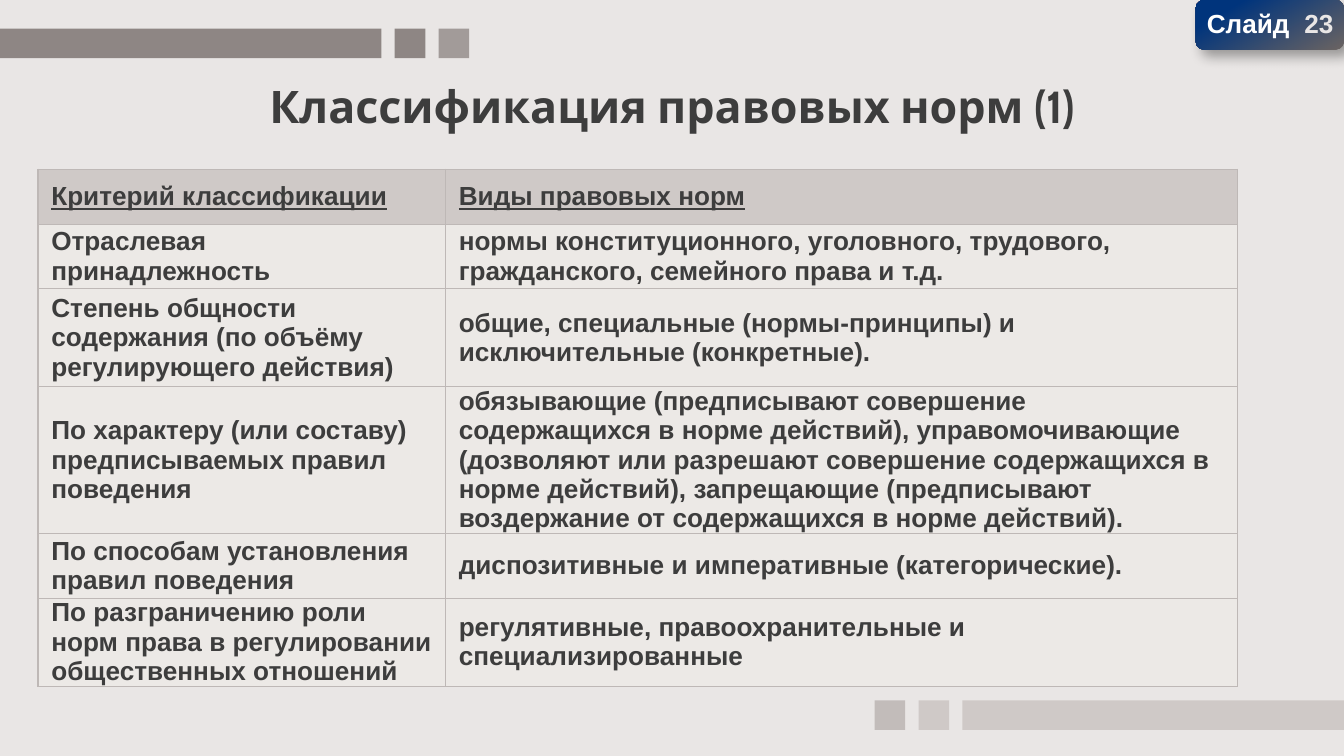
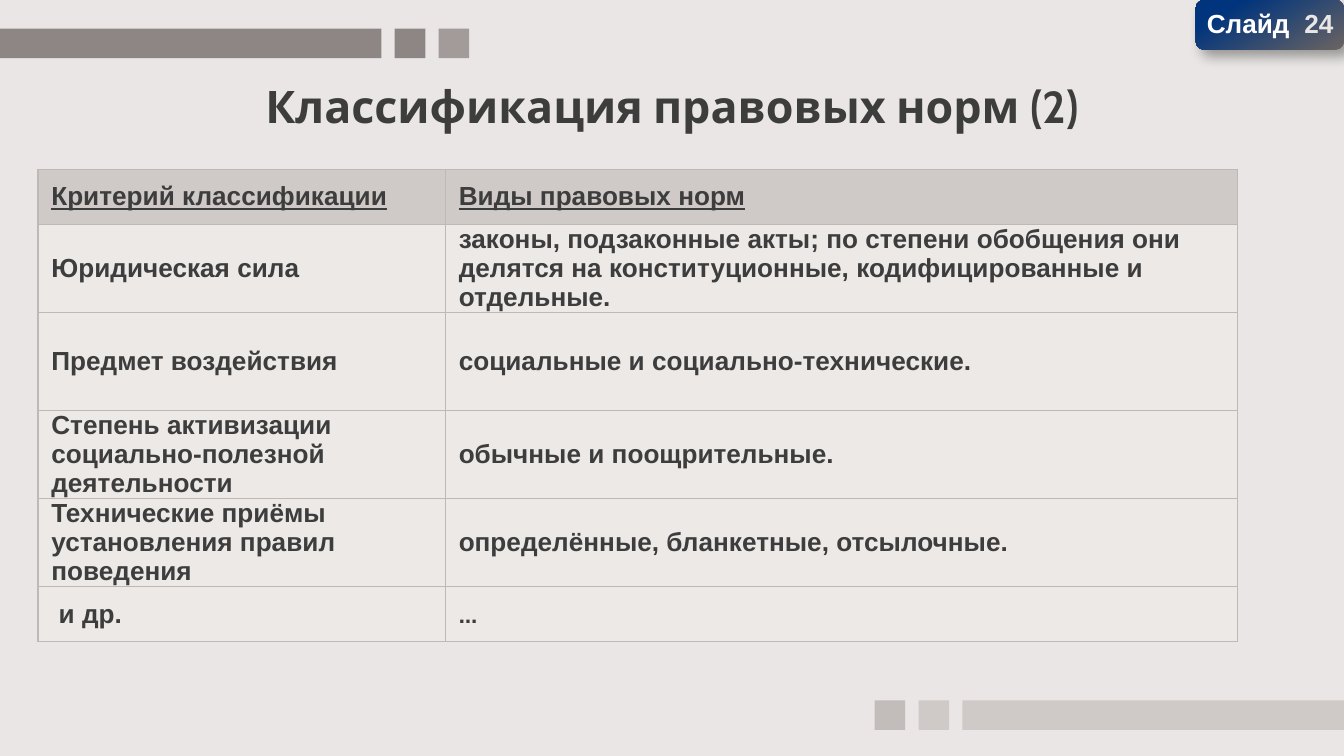
from copy import deepcopy

from lxml import etree
from pptx import Presentation
from pptx import util as u
from pptx.dml.color import RGBColor
from pptx.enum import shapes, text
from pptx.oxml import ns

COLORS = {
    "background": "E9E6E5",
    "ink": "3D3D3D",
    "dark_band": "8E8684",
    "dark_accent": "A29B99",
    "light_band": "CFC9C7",
    "light_accent": "C2BCBA",
    "border": "BEB8B6",
    "cell": "ECE9E6",
    "badge_grey": "6B6462",
    "badge_blue": "00347C",
    "badge_edge": "00347D",
    "white": "FFFFFF",
    "shadow": "000000",
}

HEADER = ("Критерий классификации", "Виды правовых норм")

NORMS_1 = [
    ("Отраслевая принадлежность",
     "нормы конституционного, уголовного, трудового, гражданского, семейного права и т.д."),
    ("Степень общности содержания (по объёму регулирующего действия)",
     "общие, специальные (нормы-принципы) и исключительные (конкретные)."),
    ("По характеру (или составу) предписываемых правил поведения",
     "обязывающие (предписывают совершение содержащихся в норме действий), "
     "управомочивающие (дозволяют или разрешают совершение содержащихся в норме действий), "
     "запрещающие (предписывают воздержание от содержащихся в норме действий)."),
    ("По способам установления правил поведения",
     "диспозитивные и императивные (категорические)."),
    ("По разграничению роли норм права в регулировании общественных отношений",
     "регулятивные, правоохранительные и специализированные"),
]

NORMS_2 = [
    ("Юридическая сила",
     "законы, подзаконные акты; по степени обобщения они делятся на конституционные, "
     "кодифицированные и отдельные."),
    ("Предмет воздействия", "социальные и социально-технические."),
    ("Степень активизации социально-полезной деятельности", "обычные и поощрительные."),
    ("Технические приёмы установления правил поведения",
     "определённые, бланкетные, отсылочные."),
    ("и др.", "…"),
]


def rgb(name):
    return RGBColor.from_string(COLORS[name])


def add_color(parent, name):
    return etree.SubElement(parent, ns.qn("a:srgbClr"), val=COLORS[name])


class Deck:
    TITLE_FONT = "Cabin"
    BODY_FONT = "Arial"
    COLUMNS = (7.7, 14.96)
    ROWS = (1.04, 1.22, 1.85, 1.04, 1.22, 1.04)

    def __init__(self):
        self.presentation = Presentation()
        self.presentation.slide_width = u.Cm(25.4)
        self.presentation.slide_height = u.Cm(14.29)
        fill = self.presentation.slide_master.background.fill
        fill.solid()
        fill.fore_color.rgb = rgb("background")
        self.slide = None

    def new_slide(self, title):
        layout = self.presentation.slide_layouts[5]
        self.slide = self.presentation.slides.add_slide(layout)
        self.bands()
        self.title(title)

    def font(self, font, size=14, name=BODY_FONT, color="ink"):
        font.size = u.Pt(size)
        font.name = name
        font.bold = True
        font.color.rgb = rgb(color)

    def shape(self, left, top, width, height, kind=shapes.MSO_SHAPE.RECTANGLE):
        shape = self.slide.shapes.add_shape(
            kind, u.Cm(left), u.Cm(top), u.Cm(width), u.Cm(height))
        shape.shadow.inherit = False
        shape.line.fill.background()
        return shape

    def bands(self):
        bars = [(0, 7.21, "dark_band"), (7.46, 0.58, "dark_band"), (8.29, 0.58, "dark_accent")]
        for left, width, color in bars:
            light = "light_accent" if color == "dark_accent" else "light_band"
            for x, y, name in ((left, 0.54, color), (25.4 - left - width, 13.24, light)):
                band = self.shape(x, y, width, 0.56)
                band.fill.solid()
                band.fill.fore_color.rgb = rgb(name)

    def title(self, words):
        title = self.slide.shapes.title
        title.left, title.top = u.Cm(2), u.Cm(1.2)
        title.width, title.height = u.Cm(21.4), u.Cm(1.6)
        frame = title.text_frame
        frame.text = words
        frame.auto_size = text.MSO_AUTO_SIZE.NONE
        frame.vertical_anchor = text.MSO_ANCHOR.MIDDLE
        frame.margin_left = frame.margin_right = u.Cm(0.25)
        frame.margin_top = frame.margin_bottom = u.Cm(0.25)
        paragraph = frame.paragraphs[0]
        paragraph.alignment = text.PP_ALIGN.CENTER
        self.font(paragraph.runs[0].font, 24, self.TITLE_FONT)

    def borders(self, cell):
        properties = cell._tc.get_or_add_tcPr()
        for index, side in enumerate(("lnL", "lnR", "lnT", "lnB")):
            line = etree.Element(ns.qn("a:" + side), w=str(u.Pt(0.75)))
            add_color(etree.SubElement(line, ns.qn("a:solidFill")), "border")
            properties.insert(index, line)

    def cell(self, cell, words, is_header, is_kind):
        cell.fill.solid()
        cell.fill.fore_color.rgb = rgb("light_band" if is_header else "cell")
        cell.vertical_anchor = text.MSO_ANCHOR.MIDDLE
        cell.margin_left = cell.margin_right = u.Cm(0.25)
        cell.margin_top = cell.margin_bottom = 0
        cell.text_frame.text = words
        paragraph = cell.text_frame.paragraphs[0]
        if is_kind:
            paragraph.space_after = u.Pt(16)
        font = paragraph.runs[0].font
        self.font(font)
        font.underline = is_header
        self.borders(cell)

    def table(self, norms):
        rows = [HEADER, *norms]
        table = self.slide.shapes.add_table(
            len(rows), len(HEADER), u.Cm(0.72), u.Cm(3.2),
            u.Cm(sum(self.COLUMNS)), u.Cm(sum(self.ROWS))).table
        for column, width in zip(table.columns, self.COLUMNS):
            column.width = u.Cm(width)
        for row, height in zip(table.rows, self.ROWS):
            row.height = u.Cm(height)
        for i, row in enumerate(rows):
            for j, words in enumerate(row):
                self.cell(table.cell(i, j), words, i == 0, j == 1)
        return table

    def badge(self, number):
        plate = self.shape(22.6, 0, 2.8, 0.94, shapes.MSO_SHAPE.ROUNDED_RECTANGLE)
        plate.fill.gradient()
        plate.fill.gradient_angle = 120
        properties = plate.element.spPr
        stops = properties.find(".//" + ns.qn("a:gsLst"))
        stops.append(deepcopy(stops[0]))
        colors = ((0, "badge_grey"), (0.8, "badge_blue"), (1, "badge_edge"))
        for stop, (position, color) in zip(plate.fill.gradient_stops, colors):
            stop.position = position
            stop.color.rgb = rgb(color)
        shadow = etree.SubElement(
            properties.find(ns.qn("a:effectLst")), ns.qn("a:outerShdw"),
            blurRad=str(u.Pt(7)), dist=str(u.Pt(5)), dir=str(50 * 60000), rotWithShape="0")
        etree.SubElement(add_color(shadow, "shadow"), ns.qn("a:alpha"), val="35000")

        label = self.slide.shapes.add_textbox(u.Cm(22.66), u.Cm(0.05), u.Cm(2.69), u.Cm(0.84))
        frame = label.text_frame
        frame.word_wrap = True
        frame.vertical_anchor = text.MSO_ANCHOR.MIDDLE
        frame.margin_left = frame.margin_right = 0
        frame.margin_top = frame.margin_bottom = u.Cm(0.15)
        paragraph = frame.paragraphs[0]
        paragraph.alignment = text.PP_ALIGN.CENTER
        paragraph.line_spacing = 0.9
        for words, color in (("Слайд", "white"), (" ", "white"), (str(number), "background")):
            run = paragraph.add_run()
            run.text = words
            self.font(run.font, color=color)
        paragraph.runs[1].font._element.set("spc", "390")


def main():
    deck = Deck()

    deck.new_slide("Классификация правовых норм (1)")
    deck.table(NORMS_1)
    deck.badge(23)

    deck.new_slide("Классификация правовых норм (2)")
    table = deck.table(NORMS_2)
    table.cell(5, 0).margin_left = u.Cm(0.39)
    ellipsis = table.cell(5, 1).text_frame.paragraphs[0].runs[0]
    ellipsis.font.name = deck.TITLE_FONT
    deck.badge(24)

    deck.presentation.save("out.pptx")


if __name__ == "__main__":
    main()
